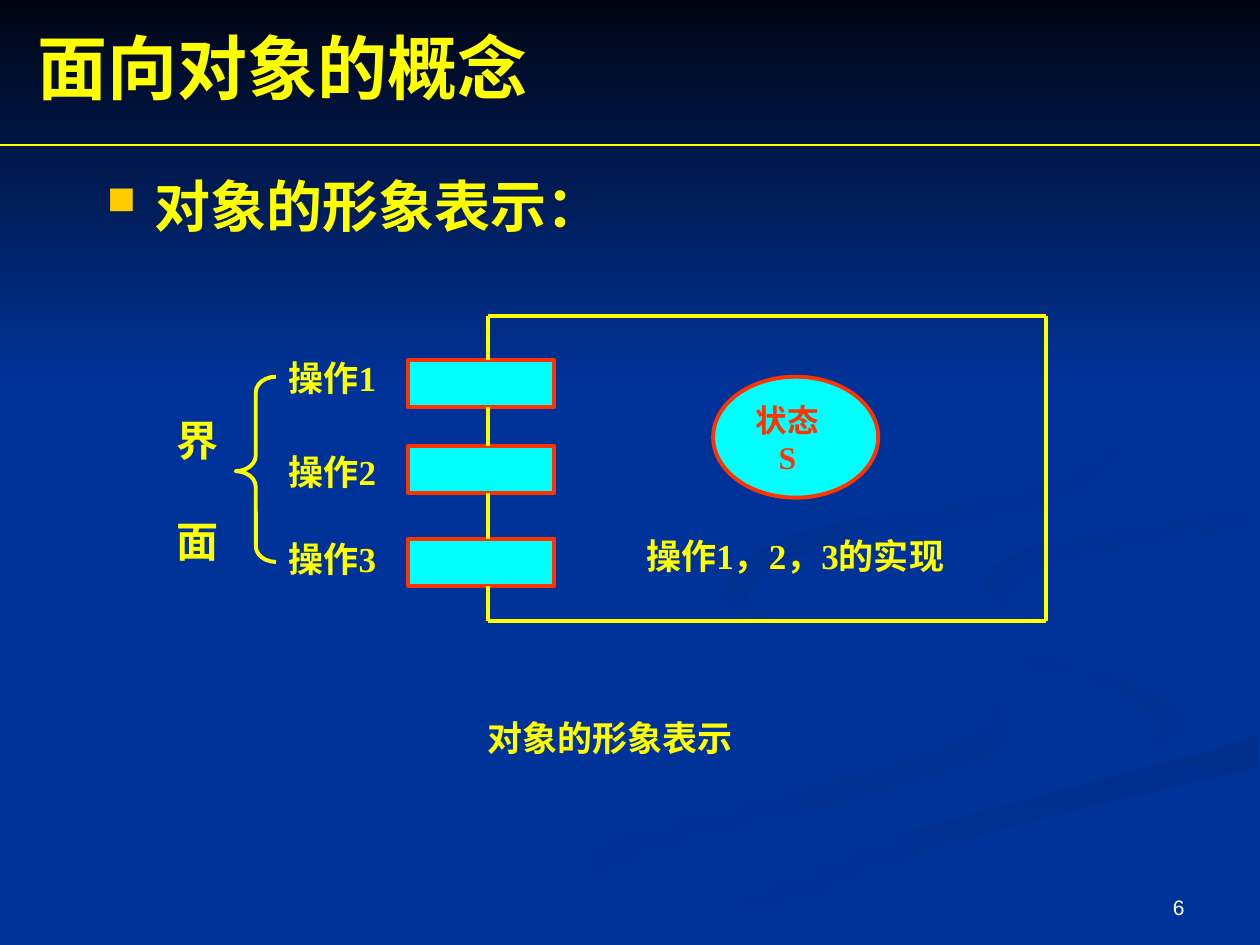
"""Build the slide on the picture of an object: interface, operations and state."""
from dataclasses import dataclass

from lxml.etree import SubElement
from pptx import Presentation
from pptx.dml.color import RGBColor
from pptx.enum.shapes import MSO_CONNECTOR, MSO_SHAPE
from pptx.enum.text import MSO_ANCHOR, PP_ALIGN
from pptx.oxml.ns import qn
from pptx.util import Inches, Pt

Knots = list[tuple[float, float]]

COLORS = {
    "blue": "003399", "night": "000514", "yellow": "FFFF00", "gold": "FFCC00",
    "cyan": "00FFFF", "red": "FF3300", "white": "FFFFFF",
    "shade": "003193", "deep": "002F8C", "mid": "003091",
}
SLIDE_W, SLIDE_H = 10, 7.5


@dataclass
class Ribbon:
    """A swirl between two smooth edges, each given by the knots it passes."""
    start: str
    end: str
    angle: int
    outer: Knots
    inner: Knots


@dataclass
class Operation:
    label: str
    top: float
    label_top: float


LOWER_SWIRL = Ribbon(
    "blue", "shade", 0,
    outer=[(5.75, 4.59), (5.83, 4.77), (6.42, 5.07), (7.15, 5.28), (7.81, 5.53), (7.99, 5.73),
           (7.91, 5.97), (7.21, 6.23), (5.64, 6.65), (4.66, 7), (3.61, 7.49)],
    inner=[(5.75, 4.59), (5.72, 4.76), (6.11, 4.99), (7.14, 5.3), (7.76, 5.53), (7.83, 5.74),
           (7.14, 6.05), (5.79, 6.39), (4.58, 6.74), (3, 7.49)])
RIGHT_HOOK = Ribbon(
    "blue", "shade", 45,
    outer=[(7.24, 4.64), (7.45, 4.9), (8.11, 5.15), (9.05, 5.4), (9.43, 5.7), (9.32, 5.89),
           (8.94, 6.05)],
    inner=[(7.24, 4.64), (7.46, 5), (8.15, 5.3), (8.92, 5.53), (9.18, 5.81), (8.94, 6.05)])
CORNER_SWEEP = Ribbon(
    "deep", "blue", 90,
    outer=[(5.03, 7.49), (6.3, 6.93), (7.64, 6.47), (9.03, 6.1), (9.98, 5.81)],
    inner=[(5.71, 7.49), (6.49, 7.1), (7.85, 6.61), (9.98, 6.09)])
MAIN_BAND = Ribbon(
    "blue", "blue", 0,
    outer=[(9.99, 3.87), (8.74, 4.08), (7.7, 4.27), (7.25, 4.64), (7.59, 4.98), (8.71, 5.3),
           (9.43, 5.7), (8.92, 6.05), (7.43, 6.43), (6.19, 6.84), (4.77, 7.49)],
    inner=[(9.99, 4.02), (8.65, 4.24), (7.81, 4.63), (8.17, 4.92), (9.23, 5.23), (9.99, 5.38),
           (9.99, 5.81), (8.68, 6.2), (6.96, 6.69), (5.03, 7.49)])
RIGHT_CURL = Ribbon(
    "mid", "blue", 45,
    outer=[(8.26, 4.96), (7.91, 4.78), (7.81, 4.6), (8.1, 4.37), (8.65, 4.24), (9.98, 4.02)],
    inner=[(8.26, 4.96), (8.05, 4.74), (8.28, 4.53), (8.96, 4.35), (9.98, 4.2)])
UPPER_SWIRL = Ribbon(
    "deep", "blue", 45,
    outer=[(7.62, 2.33), (8.43, 2.75), (8.94, 3.4), (8.55, 3.91), (7.64, 4.17), (6.49, 4.36),
           (5.94, 4.7), (6.22, 5)],
    inner=[(7.62, 2.33), (8.46, 2.79), (8.89, 3.35), (8.52, 3.74), (7.63, 3.98), (6.37, 4.22),
           (5.77, 4.62), (6.22, 5)])
RIBBONS = [LOWER_SWIRL, RIGHT_HOOK, CORNER_SWEEP, MAIN_BAND, RIGHT_CURL, UPPER_SWIRL]

OPERATIONS = [
    Operation("操作1", 2.86, 2.78),
    Operation("操作2", 3.54, 3.53),
    Operation("操作3", 4.28, 4.22),
]
SLOT_LEFT, SLOT_W, SLOT_H = 3.24, 1.16, 0.37
FRAME_LEFT, FRAME_TOP, FRAME_RIGHT, FRAME_BOTTOM = 3.87, 2.51, 8.3, 4.93


def rgb(name: str) -> RGBColor:
    return RGBColor.from_string(COLORS[name])


def smooth(knots: Knots, steps: int = 6) -> Knots:
    """Return points of the Catmull-Rom curve through the knots."""
    padded = [knots[0], *knots, knots[-1]]
    curve = []
    for a, b, c, d in zip(padded, padded[1:], padded[2:], padded[3:]):
        for t in (i / steps for i in range(steps)):
            x, y = (q + t / 2 * (r - p + t * (2 * p - 5 * q + 4 * r - s
                                              + t * (3 * q - p - 3 * r + s)))
                    for p, q, r, s in zip(a, b, c, d))
            curve.append((min(x, SLIDE_W), min(y, SLIDE_H)))
    return curve + [knots[-1]]


def fill_gradient(sp, start: str, end: str, angle: int) -> None:
    sp.shadow.inherit = False
    sp.line.fill.background()
    sp.fill.gradient()
    sp.fill.gradient_angle = (360 - angle) % 360
    for stop, color, position in zip(sp.fill.gradient_stops, (start, end), (0, 1)):
        stop.color.rgb = rgb(color)
        stop.position = position


def add_ribbon(shapes, ribbon: Ribbon) -> None:
    outline = smooth(ribbon.outer) + smooth(ribbon.inner)[::-1]
    pts = [(Inches(x), Inches(y)) for x, y in outline]
    builder = shapes.build_freeform(*pts[0])
    builder.add_line_segments(pts[1:], close=True)
    fill_gradient(builder.convert_to_shape(), ribbon.start, ribbon.end, ribbon.angle)


def add_line(shapes, x1: float, y1: float, x2: float, y2: float, width: float = 2.25) -> None:
    line = shapes.add_connector(MSO_CONNECTOR.STRAIGHT, *map(Inches, (x1, y1, x2, y2)))
    line.line.color.rgb = rgb("yellow")
    line.line.width = Pt(width)
    SubElement(line._element.spPr, qn("a:effectLst"))


def add_outlined(shapes, kind, box: tuple, *, fill: str | None = "cyan", line: str = "red"):
    sp = shapes.add_shape(kind, *map(Inches, box))
    sp.shadow.inherit = False
    if fill:
        sp.fill.solid()
        sp.fill.fore_color.rgb = rgb(fill)
    else:
        sp.fill.background()
    sp.line.color.rgb = rgb(line)
    sp.line.width = Pt(2.25)
    return sp


def add_bullet(p) -> None:
    pPr = p._p.get_or_add_pPr()
    pPr.set("marL", str(Inches(0.38)))
    pPr.set("indent", str(Inches(-0.38)))
    SubElement(SubElement(pPr, qn("a:buClr")), qn("a:srgbClr"), val=COLORS["gold"])
    SubElement(pPr, qn("a:buSzPct"), val="70000")
    SubElement(pPr, qn("a:buChar"), char="■")


def write(sp, text: str, *, size: float = 20, color: str = "yellow", bold: bool = True,
          font: str = "Times New Roman", align=PP_ALIGN.LEFT, anchor=MSO_ANCHOR.TOP,
          gap: float = 0, bullet: bool = False) -> None:
    tf = sp.text_frame
    tf.word_wrap = True
    tf.vertical_anchor = anchor
    for i, part in enumerate(text.split("\n")):
        p = tf.add_paragraph() if i else tf.paragraphs[0]
        p.alignment = align
        if i:
            p.space_before = Pt(gap)
        if bullet:
            add_bullet(p)
        r = p.add_run()
        r.text = part
        r.font.name, r.font.size, r.font.bold = font, Pt(size), bold
        r.font.color.rgb = rgb(color)


def add_text(shapes, text: str, box: tuple, **fmt) -> None:
    write(shapes.add_textbox(*map(Inches, box)), text, **fmt)


def add_object(shapes) -> None:
    for op in OPERATIONS:
        add_outlined(shapes, MSO_SHAPE.RECTANGLE, (SLOT_LEFT, op.top, SLOT_W, SLOT_H))
        add_text(shapes, op.label, (2.19, op.label_top, 0.95, 0.44), align=PP_ALIGN.JUSTIFY)
    starts = [FRAME_TOP] + [op.top + SLOT_H for op in OPERATIONS]
    ends = [op.top for op in OPERATIONS] + [FRAME_BOTTOM]
    for y1, y2 in zip(starts, ends):
        add_line(shapes, FRAME_LEFT, y1, FRAME_LEFT, y2)
    for y in (FRAME_TOP, FRAME_BOTTOM):
        add_line(shapes, FRAME_LEFT, y, FRAME_RIGHT, y)
    add_line(shapes, FRAME_RIGHT, FRAME_TOP, FRAME_RIGHT, FRAME_BOTTOM)

    state = add_outlined(shapes, MSO_SHAPE.OVAL, (5.66, 2.99, 1.31, 0.96))
    state.text_frame.margin_right = Inches(0.23)
    write(state, "状态\nS", size=18, color="red", align=PP_ALIGN.CENTER)
    brace = add_outlined(shapes, MSO_SHAPE.LEFT_BRACE, (1.87, 2.99, 0.32, 1.47),
                         fill=None, line="yellow")
    brace.adjustments[0], brace.adjustments[1] = 0.39, 0.51
    add_text(shapes, "操作1，2，3的实现", (5.03, 4.19, 2.77, 0.47), align=PP_ALIGN.JUSTIFY)
    add_text(shapes, "界\n面", (1.3, 3.24, 0.58, 1.18), size=24, gap=29)
    add_text(shapes, "对象的形象表示", (3.77, 5.64, 2.95, 0.52))


def main() -> None:
    prs = Presentation()
    prs.slide_width, prs.slide_height = Inches(SLIDE_W), Inches(SLIDE_H)
    s = prs.slides.add_slide(prs.slide_layouts[5])
    s.background.fill.solid()
    s.background.fill.fore_color.rgb = rgb("blue")
    for ribbon in RIBBONS:
        add_ribbon(s.shapes, ribbon)
    sky = s.shapes.add_shape(MSO_SHAPE.RECTANGLE, 0, 0, Inches(SLIDE_W), Inches(3.08))
    fill_gradient(sky, "night", "blue", 90)

    title = s.shapes.title
    title.left, title.top, title.width, title.height = map(Inches, (0.2, 0.14, 9, 0.77))
    write(title, "面向对象的概念", size=40, anchor=MSO_ANCHOR.MIDDLE)
    s.shapes._spTree.append(title._element)
    add_line(s.shapes, 0, 1.15, SLIDE_W, 1.15, width=0.75)
    add_text(s.shapes, "对象的形象表示：", (0.75, 1.31, 8.5, 0.7), size=32, bullet=True)
    add_object(s.shapes)
    add_text(s.shapes, "6", (7.17, 6.83, 2.33, 0.52), size=12, color="white", bold=False,
             font="Arial", align=PP_ALIGN.RIGHT, anchor=MSO_ANCHOR.BOTTOM)
    prs.save("out.pptx")


if __name__ == "__main__":
    main()
